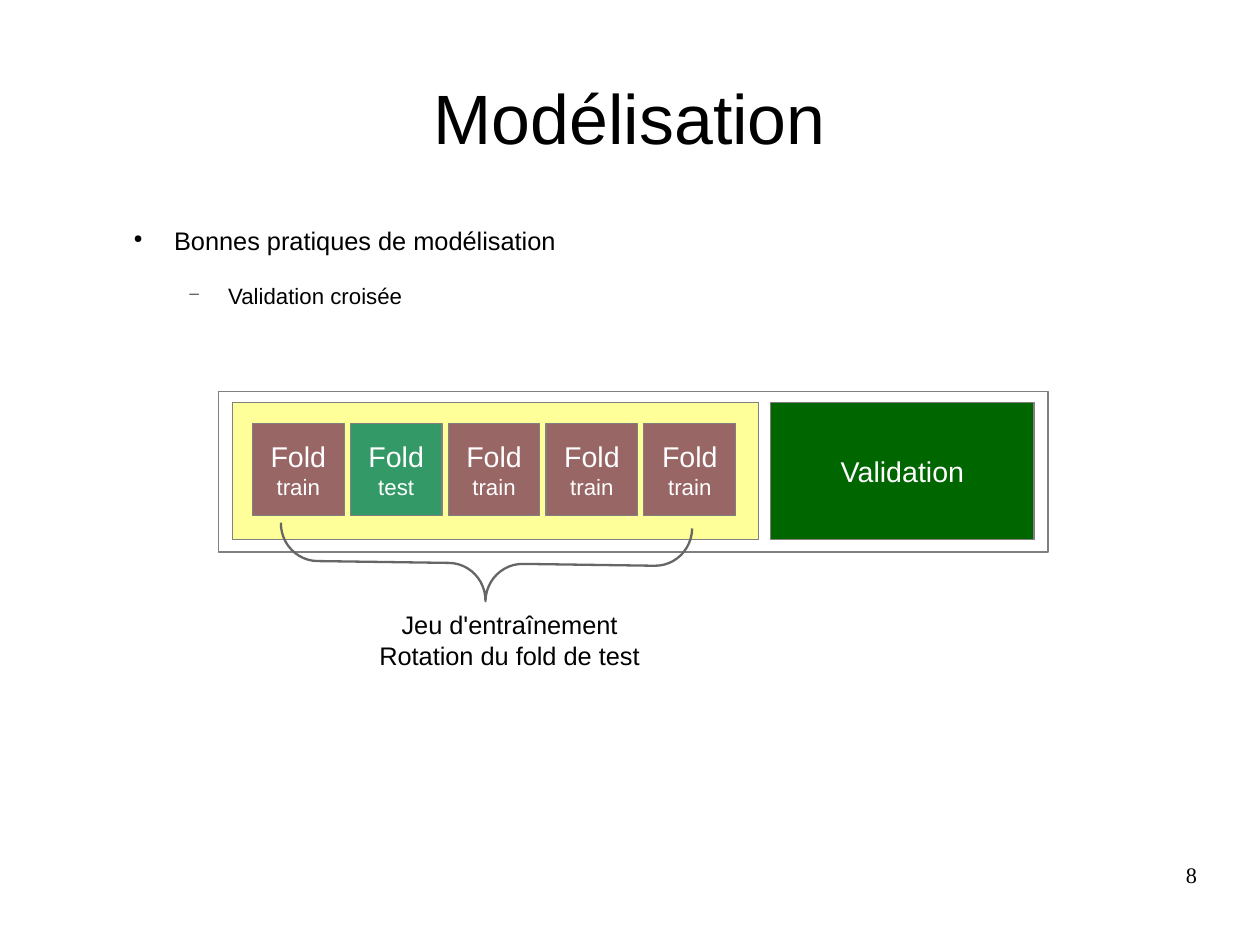
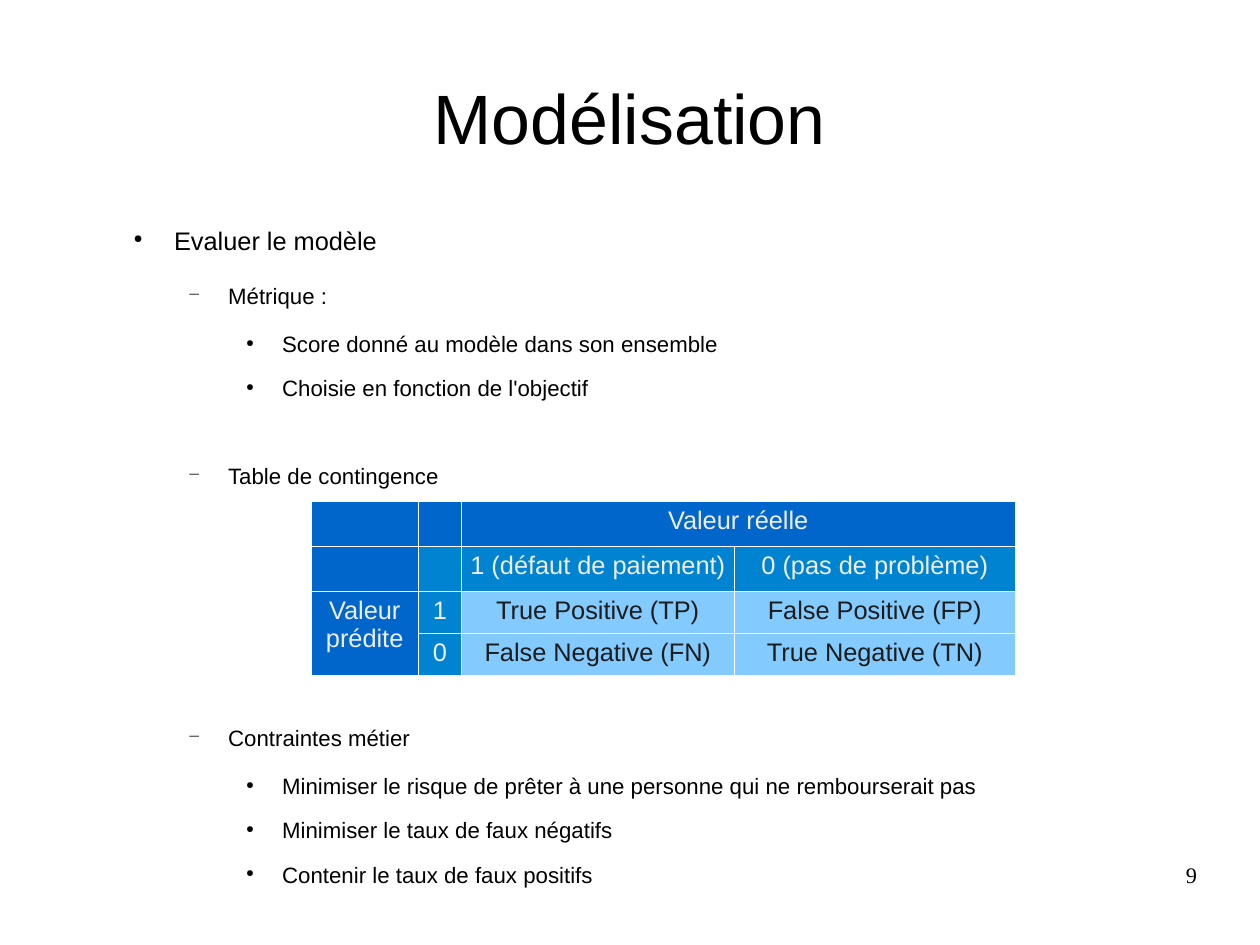
import pptx
import pptx.util
import pptx.dml.color
import pptx.enum.shapes
import pptx.enum.text
import pptx.oxml
import pptx.oxml.ns
from lxml import etree

Cm, Pt = pptx.util.Cm, pptx.util.Pt
RGB = pptx.dml.color.RGBColor
SHAPE = pptx.enum.shapes.MSO_SHAPE
ALIGN = pptx.enum.text.PP_ALIGN
ANCHOR = pptx.enum.text.MSO_ANCHOR
qn = pptx.oxml.ns.qn

BLACK = RGB(0x00, 0x00, 0x00)
WHITE = RGB(0xFF, 0xFF, 0xFF)
GRAY = RGB(0x80, 0x80, 0x80)
SLATE = RGB(0x66, 0x66, 0x66)
YELLOW = RGB(0xFF, 0xFF, 0x99)
GREEN = RGB(0x00, 0x66, 0x00)
BROWN = RGB(0x99, 0x66, 0x66)
TEAL = RGB(0x33, 0x99, 0x66)
NAVY = RGB(0x00, 0x66, 0xCC)
BLUE = RGB(0x00, 0x84, 0xD1)
SKY = RGB(0x83, 0xCA, 0xFF)
PALE = RGB(0xEE, 0xEE, 0xEE)
DARK = RGB(0x1C, 0x1C, 0x1C)

# Outline level: margin (cm), hanging (cm), space after, bullet, bullet %, size
LEVELS = [
    (1.2, 0.9, 14.1, "●", 45, 16),
    (2.4, 0.9, 11.3, "−", 75, 14),
    (3.6, 0.8, 8.5, "●", 45, 14),
]


def write(frame, *lines, size=16, sizes=None, color=BLACK, font="Arial",
          align=ALIGN.CENTER):
    """Fill a frame, one paragraph a line, and return the paragraphs."""
    paras = []
    for i, line in enumerate(lines):
        para = frame.add_paragraph() if i else frame.paragraphs[0]
        para.alignment = align
        run = para.add_run()
        run.text = line
        run.font.name = font
        run.font.size = Pt(sizes[i] if sizes else size)
        run.font.color.rgb = color
        paras.append(para)
    return paras


def area(slide, x, y, w, h, inset=(0, 0), anchor=ANCHOR.TOP):
    """Add a wrapping text box and return its frame."""
    frame = slide.shapes.add_textbox(Cm(x), Cm(y), Cm(w), Cm(h)).text_frame
    frame.word_wrap = True
    frame.vertical_anchor = anchor
    frame.margin_left = frame.margin_right = Cm(inset[0])
    frame.margin_top = frame.margin_bottom = Cm(inset[1])
    return frame


def draw(slide, x, y, w, h, fill=None, kind=SHAPE.RECTANGLE, line=GRAY,
         width=0):
    shape = slide.shapes.add_shape(kind, Cm(x), Cm(y), Cm(w), Cm(h))
    shape.shadow.inherit = False
    if fill is None:
        shape.fill.background()
    else:
        shape.fill.solid()
        shape.fill.fore_color.rgb = fill
    shape.line.color.rgb = line
    shape.line.width = Pt(width)
    shape.text_frame.vertical_anchor = ANCHOR.MIDDLE
    return shape


def start(deck, title, number):
    """Add a slide with its title and page number."""
    slide = deck.slides.add_slide(deck.slide_layouts[6])
    write(area(slide, 1.4, 0.84, 25.2, 3.5, anchor=ANCHOR.MIDDLE), title,
          size=44)
    write(area(slide, 20.07, 19.13, 6.53, 1.45), str(number), size=14,
          font="Times New Roman", align=ALIGN.RIGHT)
    return slide


def outline(slide, x, y, w, h, items):
    """Write bulleted items, each given as level, text and space before."""
    paras = write(area(slide, x, y, w, h, inset=(1.27, 0)),
                  *[text for _, text, _ in items],
                  sizes=[LEVELS[level][5] for level, _, _ in items],
                  align=ALIGN.LEFT)
    for para, (level, _, before) in zip(paras, items):
        margin, hang, after, mark, scale, _ = LEVELS[level]
        para.level = level
        para.line_spacing = 1.15
        para.space_before = Pt(before)
        para.space_after = Pt(after)
        props = para._p.get_or_add_pPr()
        props.set("marL", str(Cm(margin)))
        props.set("indent", str(-Cm(hang)))
        tint = etree.SubElement(props, qn("a:buClr"))
        etree.SubElement(tint, qn("a:srgbClr")).set("val", str(BLACK))
        etree.SubElement(props, qn("a:buSzPct")).set("val", str(scale * 1000))
        etree.SubElement(props, qn("a:buChar")).set("char", mark)


def folds(slide, x, y):
    """Draw the data split, its brace and caption from the top left corner."""
    draw(slide, x, y, 18.44, 3.56)
    draw(slide, x + 0.31, y + 0.23, 11.7, 3.06, YELLOW)
    valid = draw(slide, x + 12.28, y + 0.24, 5.85, 3.05, GREEN)
    write(valid.text_frame, "Validation", size=18, color=WHITE)
    side, step = 2.04, 2.175
    for i, role in enumerate(["train", "test", "train", "train", "train"]):
        fold = draw(slide, x + 0.76 + i * step, y + 0.71, side, side,
                    TEAL if role == "test" else BROWN)
        write(fold.text_frame, "Fold", role, sizes=(18, 14), color=WHITE)
    brace = draw(slide, x + 5.11, y - 0.76, 1.68, 9.14, kind=SHAPE.LEFT_BRACE,
                 line=SLATE, width=1.45)
    brace.adjustments[0] = 0.49
    brace.rotation = 270.8
    write(area(slide, x + 2.03, y + 4.7, 8.89, 1.52, inset=(0.25, 0.13)),
          "Jeu d'entraînement", "Rotation du fold de test")


def edge(cell):
    """Give a cell thin white borders."""
    props = cell._tc.get_or_add_tcPr()
    for i, side in enumerate(("lnL", "lnR", "lnT", "lnB")):
        line = etree.Element(qn("a:" + side), w=str(Pt(0.06)))
        fill = etree.SubElement(line, qn("a:solidFill"))
        etree.SubElement(fill, qn("a:srgbClr")).set("val", str(WHITE))
        props.insert(i, line)


def matrix(slide, x, y):
    """Place the contingency table."""
    rows = [
        ["", "", "Valeur réelle", ""],
        ["", "", "1 (défaut de paiement)", "0 (pas de problème)"],
        ["Valeur prédite", "1", "True Positive (TP)", "False Positive (FP)"],
        ["", "0", "False Negative (FN)", "True Negative (TN)"],
    ]
    wide, high = [2.39, 0.95, 6.07, 6.24], [0.92, 0.98, 0.93, 0.93]
    grid = slide.shapes.add_table(4, 4, Cm(x), Cm(y), Cm(sum(wide)),
                                  Cm(sum(high))).table
    grid.first_row = grid.horz_banding = False
    for col, w in zip(grid.columns, wide):
        col.width = Cm(w)
    for row, h in zip(grid.rows, high):
        row.height = Cm(h)
    grid.cell(0, 2).merge(grid.cell(0, 3))
    grid.cell(2, 0).merge(grid.cell(3, 0))
    for r, row in enumerate(rows):
        for c, text in enumerate(row):
            cell = grid.cell(r, c)
            head = r == 0 or c == 0
            data = r > 1 and c > 1
            cell.margin_left = cell.margin_right = Cm(0.25 if head else 0.1)
            cell.margin_top = cell.margin_bottom = Cm(0.12)
            cell.fill.solid()
            cell.fill.fore_color.rgb = NAVY if head else SKY if data else BLUE
            edge(cell)
            if not cell.is_spanned:
                write(cell.text_frame, text, color=DARK if data else PALE)


def main():
    deck = pptx.Presentation()
    deck.slide_width, deck.slide_height = Cm(28), Cm(21)
    title, body = "Modélisation", (1.4, 4.9, 25.2, 13.9)

    slide = start(deck, title, 8)
    outline(slide, *body, [
        (0, "Bonnes pratiques de modélisation", 0),
        (1, "Validation croisée", 0),
    ])
    folds(slide, 4.85, 8.71)

    slide = start(deck, title, 9)
    outline(slide, *body, [
        (0, "Evaluer le modèle", 0),
        (1, "Métrique :", 0),
        (2, "Score donné au modèle dans son ensemble", 0),
        (2, "Choisie en fonction de l'objectif", 0),
        (1, "Table de contingence", 27.7),
        (1, "Contraintes métier", 134),
        (2, "Minimiser le risque de prêter à une personne"
            " qui ne rembourserait pas", 0),
        (2, "Minimiser le taux de faux négatifs", 0),
        (2, "Contenir le taux de faux positifs", 0),
    ])
    matrix(slide, 6.91, 11.13)
    deck.save("out.pptx")


if __name__ == "__main__":
    main()
